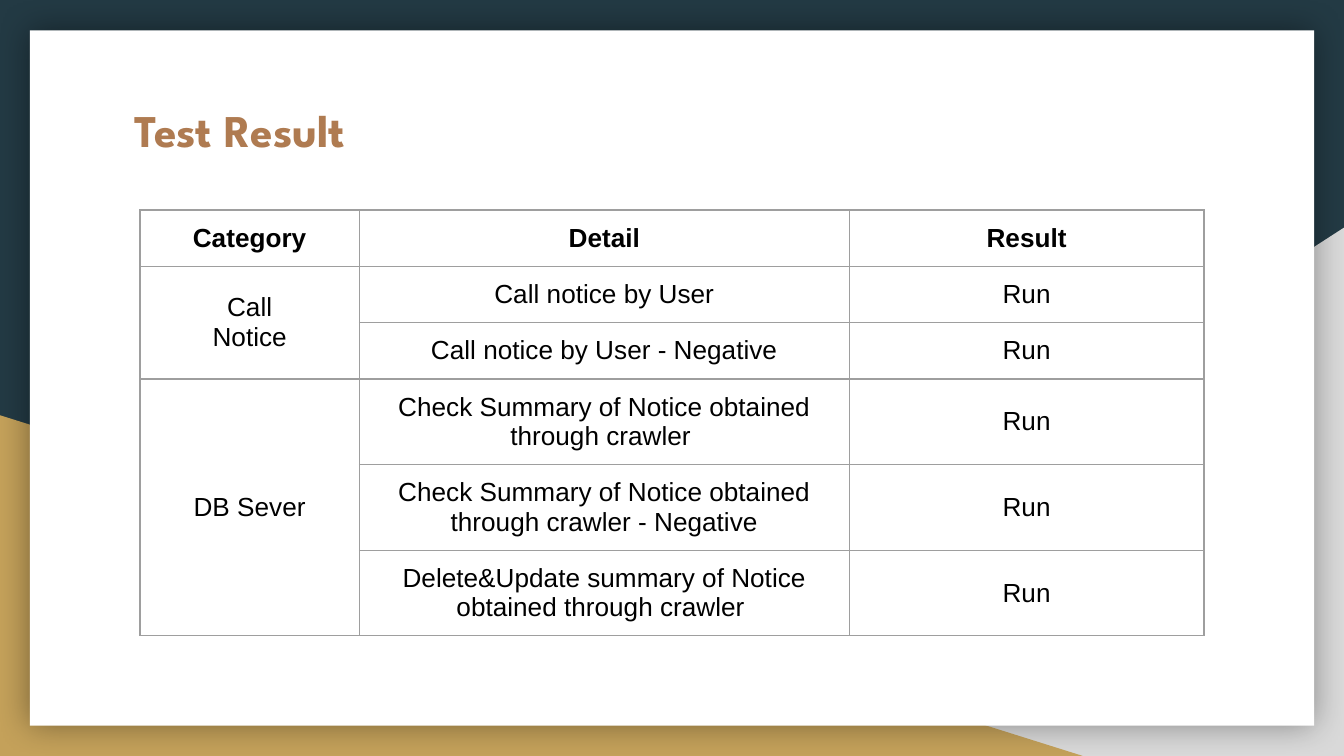
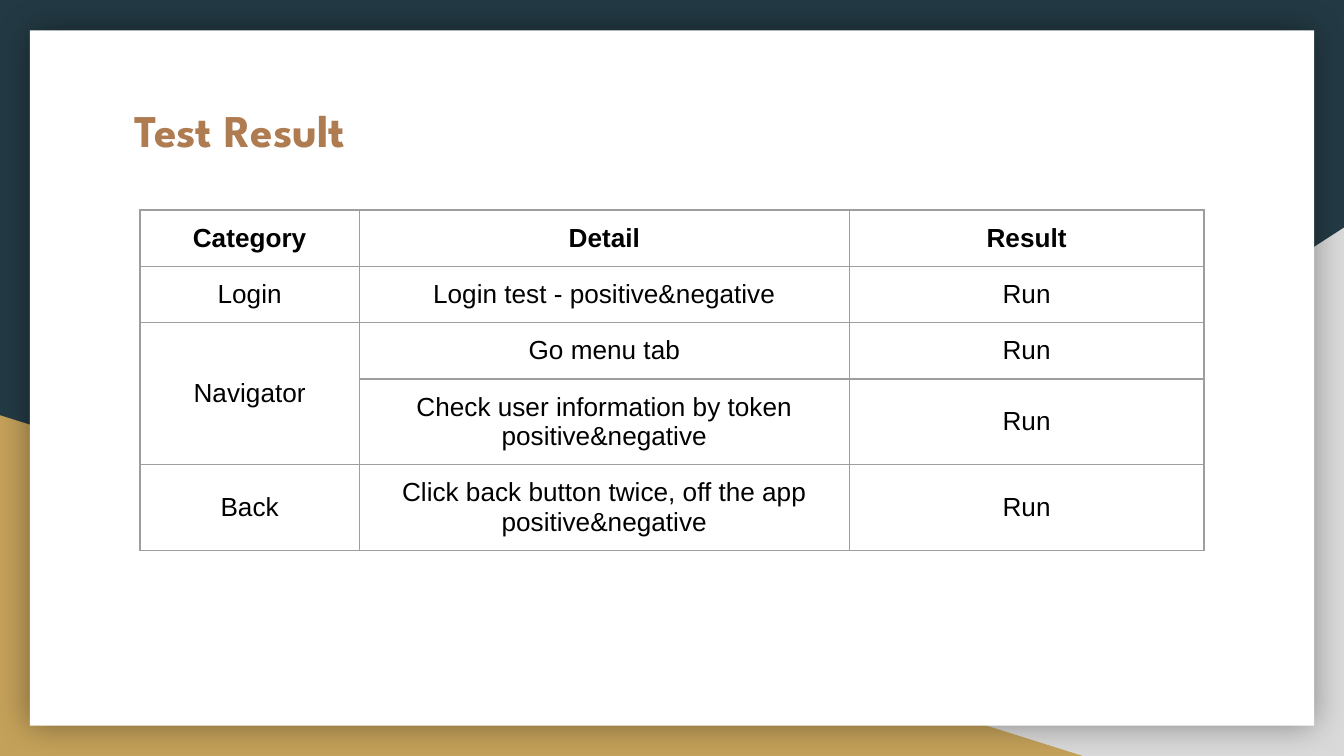
from dataclasses import dataclass
from lxml.etree import SubElement
from pptx import Presentation
from pptx.dml.color import RGBColor
from pptx.enum.shapes import MSO_SHAPE as Preset
from pptx.enum.text import MSO_ANCHOR as Anchor, PP_ALIGN as Align
from pptx.oxml.ns import qn
from pptx.presentation import Presentation as Deck
from pptx.slide import Slide, SlideLayout
from pptx.table import _Cell as Cell
from pptx.util import Pt

COLORS = {
    "navy": "233A44",
    "grey": "D9D9D9",
    "gold": "C4A15A",
    "paper": "FFFFFF",
    "bronze": "AF7B51",
    "border": "9E9E9E",
    "ink": "000000",
}
INSET = 7.2
ROW_HEIGHT = 30
COLUMN_WIDTHS = (117.5, 262.5, 190)
HEADINGS = ("Category", "Detail", "Result")


@dataclass(frozen=True)
class Panel:
    preset: Preset
    color: str
    left: float
    top: float
    width: float
    height: float
    flipped: bool = False
    shadowed: bool = False


@dataclass(frozen=True)
class TestGroup:
    category: str
    details: tuple[str, ...]


BACKDROP = (
    Panel(Preset.RIGHT_TRIANGLE, "grey", 282, 122, 438, 283, flipped=True),
    Panel(Preset.RIGHT_TRIANGLE, "gold", 0, 222.5, 580, 182.5),
    Panel(Preset.RECTANGLE, "paper", 16, 16.25, 688, 372.5, shadowed=True),
)

RESULTS = (
    (
        TestGroup("Call\nNotice", (
            "Call notice by User",
            "Call notice by User - Negative",
        )),
        TestGroup("DB Sever", (
            "Check Summary of Notice obtained through crawler ",
            "Check Summary of Notice obtained through crawler - Negative",
            "Delete&Update summary of Notice obtained through crawler ",
        )),
    ),
    (
        TestGroup("Login", ("Login test - positive&negative",)),
        TestGroup("Navigator", (
            "Go menu tab",
            "Check user information by token\npositive&negative",
        )),
        TestGroup("Back", (
            "Click back button twice, off the app\npositive&negative",
        )),
    ),
)


def rgb(name: str) -> RGBColor:
    return RGBColor.from_string(COLORS[name])


def draw_panel(slide: Slide, layout: SlideLayout, panel: Panel, depth: int) -> None:
    shape = slide.shapes.add_shape(
        panel.preset, Pt(panel.left), Pt(panel.top), Pt(panel.width), Pt(panel.height)
    )
    shape.fill.solid()
    shape.fill.fore_color.rgb = rgb(panel.color)
    shape.line.fill.background()
    shape.shadow.inherit = False
    properties = shape._element.spPr
    if panel.flipped:
        properties.find(qn("a:xfrm")).set("flipH", "1")
    if panel.shadowed:
        effects = properties.find(qn("a:effectLst"))
        shadow = SubElement(effects, qn("a:outerShdw"), blurRad=str(Pt(18)),
                            dist="0", algn="ctr", rotWithShape="0")
        tint = SubElement(shadow, qn("a:srgbClr"), val=COLORS["ink"])
        SubElement(tint, qn("a:alpha"), val="40000")
    layout.shapes._spTree.insert(2 + depth, shape._element)


def draw_title(slide: Slide, text: str) -> None:
    title = slide.shapes.title
    title.left, title.top, title.width, title.height = Pt(65), Pt(47), Pt(591), Pt(45)
    frame = title.text_frame
    frame.text = text
    frame.word_wrap = True
    frame.vertical_anchor = Anchor.MIDDLE
    frame.margin_left = frame.margin_right = Pt(INSET)
    frame.margin_top = frame.margin_bottom = Pt(INSET)
    frame.paragraphs[0].alignment = Align.LEFT
    font = frame.paragraphs[0].runs[0].font
    font.name, font.size, font.bold = "League Spartan", Pt(24.3), True
    font.color.rgb = rgb("bronze")


def style_cell(cell: Cell, heading: bool) -> None:
    cell.margin_left = cell.margin_right = Pt(INSET)
    cell.margin_top = cell.margin_bottom = Pt(INSET)
    cell.vertical_anchor = Anchor.TOP if heading else Anchor.MIDDLE
    for paragraph in cell.text_frame.paragraphs:
        paragraph.alignment = Align.CENTER
        for run in paragraph.runs:
            run.font.name, run.font.size, run.font.bold = "Arial", Pt(14), heading
            run.font.color.rgb = rgb("ink")
    properties = cell._tc.get_or_add_tcPr()
    for side in ("a:lnL", "a:lnR", "a:lnT", "a:lnB"):
        line = SubElement(properties, qn(side), w=str(Pt(0.75)))
        fill = SubElement(line, qn("a:solidFill"))
        SubElement(fill, qn("a:srgbClr"), val=COLORS["border"])
    cell.fill.background()


def draw_results(slide: Slide, groups: tuple[TestGroup, ...]) -> None:
    row_count = 1 + sum(len(group.details) for group in groups)
    table = slide.shapes.add_table(
        row_count, len(HEADINGS), Pt(75), Pt(112.5),
        Pt(sum(COLUMN_WIDTHS)), Pt(row_count * ROW_HEIGHT),
    ).table
    table.first_row = table.horz_banding = False
    for column, width in zip(table.columns, COLUMN_WIDTHS):
        column.width = Pt(width)
    for index, heading in enumerate(HEADINGS):
        table.cell(0, index).text_frame.text = heading
    row = 1
    for group in groups:
        category = table.cell(row, 0)
        category.text_frame.text = group.category
        if len(group.details) > 1:
            category.merge(table.cell(row + len(group.details) - 1, 0))
        for detail in group.details:
            table.cell(row, 1).text_frame.text = detail
            table.cell(row, 2).text_frame.text = "Run"
            row += 1
    for row in range(row_count):
        for column in range(len(HEADINGS)):
            style_cell(table.cell(row, column), heading=row == 0)


def build(deck: Deck) -> None:
    layout = deck.slide_layouts.get_by_name("Title Only")
    layout.background.fill.solid()
    layout.background.fill.fore_color.rgb = rgb("navy")
    slides = [deck.slides.add_slide(layout) for _ in RESULTS]
    for depth, panel in enumerate(BACKDROP):
        draw_panel(slides[0], layout, panel, depth)
    for slide, groups in zip(slides, RESULTS):
        draw_title(slide, "Test Result")
        draw_results(slide, groups)


def main() -> None:
    deck = Presentation()
    deck.slide_width, deck.slide_height = Pt(720), Pt(405)
    build(deck)
    deck.save("out.pptx")


if __name__ == "__main__":
    main()
